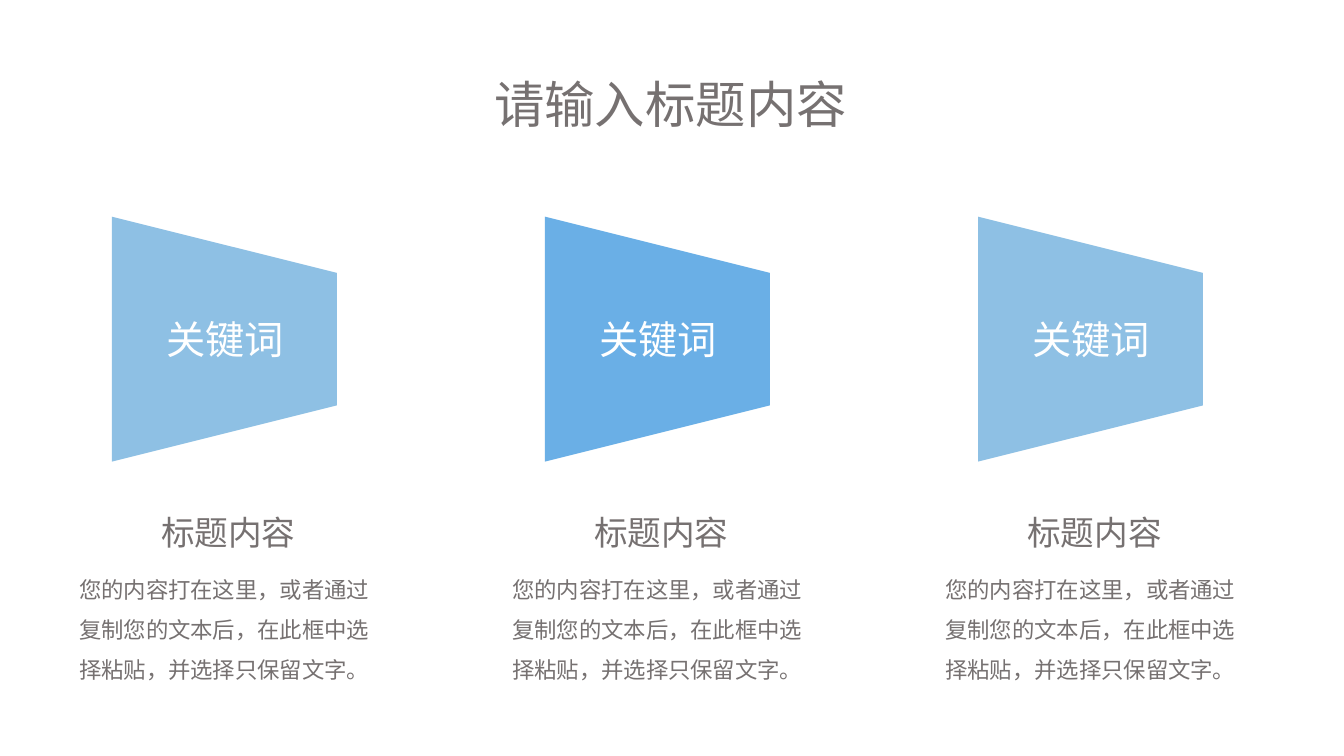
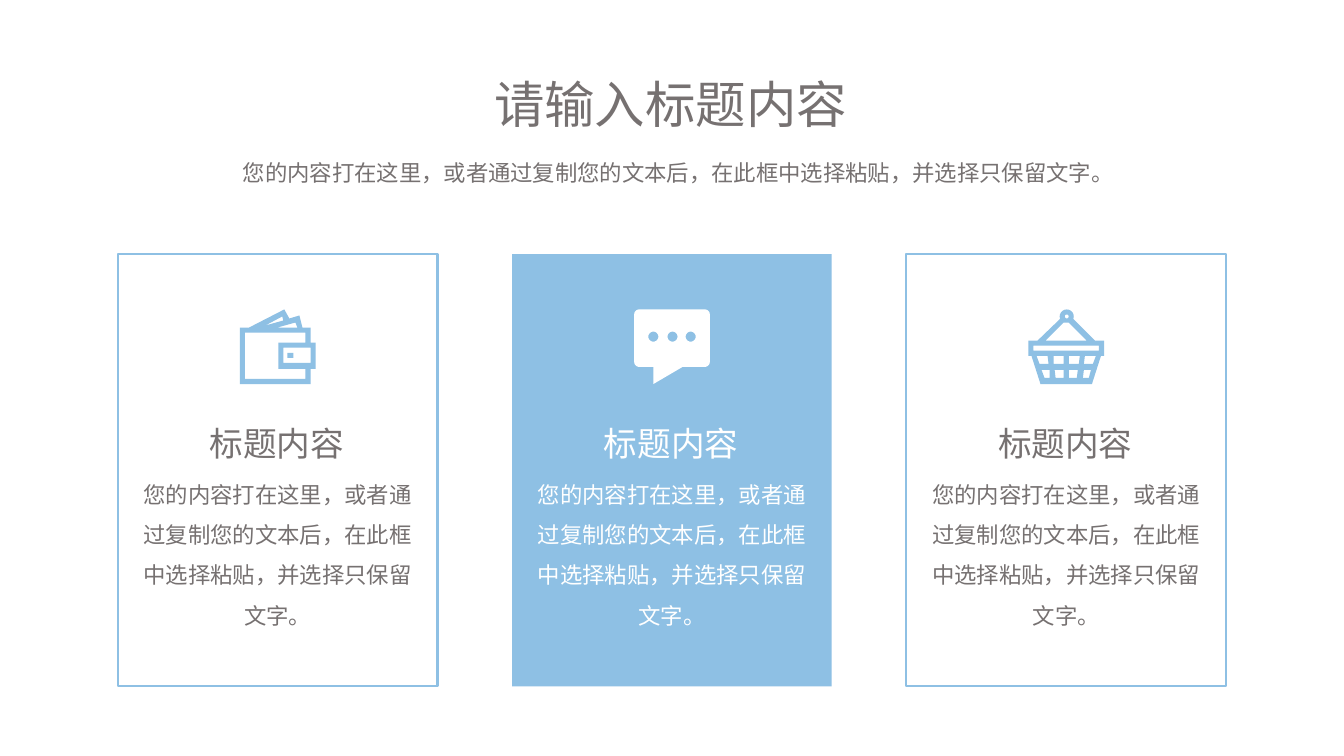
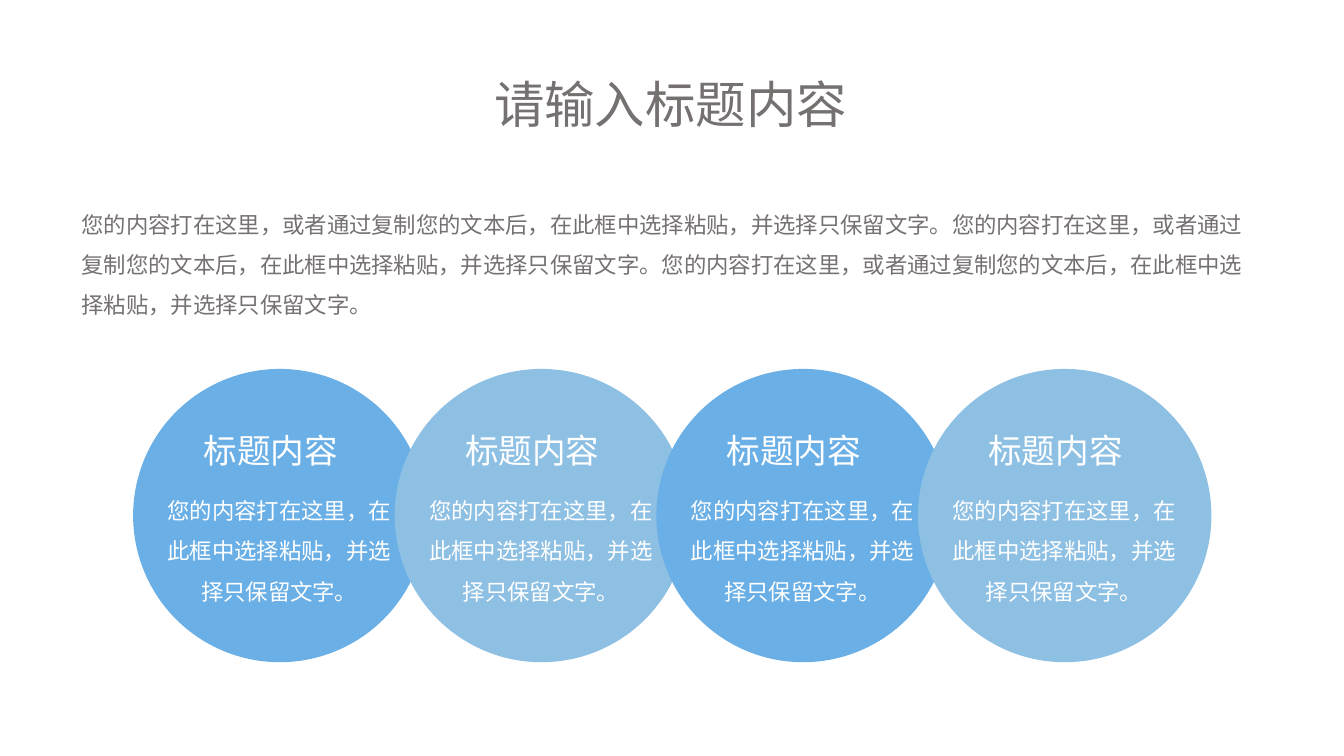
import math
from pptx import Presentation
from pptx import util as u
from pptx.dml.color import RGBColor
from pptx.enum import shapes, text
from pptx.oxml.ns import qn
from lxml import etree

FONT = "Noto Sans CJK SC"
GREY, WHITE, PALE, BLUE = "767171", "FFFFFF", "8EC0E4", "6AAFE6"
LEFT, CENTER, RIGHT = text.PP_ALIGN.LEFT, text.PP_ALIGN.CENTER, text.PP_ALIGN.RIGHT

TITLE = "请输入标题内容"
KEYWORD = "关键词"
HEADING = "标题内容"
BODY = "您的内容打在这里，或者通过复制您的文本后，在此框中选择粘贴，并选择只保留文字。"
SHORT_BODY = "您的内容打在这里，在此框中选择粘贴，并选择只保留文字。"

TITLE_STYLE = dict(size=36)
KEYWORD_STYLE = dict(size=28, color=WHITE, align=CENTER)
HEADING_STYLE = dict(size=24)
BODY_STYLE = dict(size=16, align=CENTER, spacing=1.5)
INTRO_STYLE = dict(size=16, spacing=1.5)


def arc(cx, cy, r, start, end, steps=12):
    angles = [math.radians(start + (end - start) * i / steps) for i in range(steps + 1)]
    return [(cx + r * math.cos(a), cy + r * math.sin(a)) for a in angles]


def box(x1, y1, x2, y2):
    return [(x1, y1), (x2, y1), (x2, y2), (x1, y2)]


def cell(y1, y2, top_left, top_right, bottom_right, bottom_left):
    return [(top_left, y1), (top_right, y1), (bottom_right, y2), (bottom_left, y2)]


WALLET = [
    [(0.44, 0), (0.49, 0.09), (0.59, 0.06), (0.62, 0.18), (0.7, 0.18), (0.7, 0.33),
     (0.75, 0.33), (0.75, 0.59), (0.7, 0.59), (0.7, 0.74), (0, 0.74), (0, 0.18), (0.09, 0.18)],
    [(0.05, 0.23), (0.65, 0.23), (0.65, 0.33), (0.38, 0.33), (0.38, 0.59), (0.65, 0.59),
     (0.65, 0.69), (0.05, 0.69)],
    box(0.43, 0.38, 0.7, 0.53),
    box(0.47, 0.43, 0.53, 0.48),
    [(0.55, 0.13), (0.37, 0.18), (0.57, 0.18)],
    [(0.42, 0.07), (0.25, 0.16), (0.43, 0.11)],
]
BUBBLE = [
    arc(0.05, 0.05, 0.05, 180, 270) + arc(0.7, 0.05, 0.05, 270, 360)
    + arc(0.7, 0.52, 0.05, 0, 90) + [(0.48, 0.57), (0.19, 0.74), (0.19, 0.57)]
    + arc(0.05, 0.52, 0.05, 90, 180),
] + [arc(x, 0.27, 0.05, 0, 360, 24) for x in (0.19, 0.38, 0.56)]
BASKET = [
    [(0.75, 0.46), (0.75, 0.31), (0.66, 0.31)] + arc(0.38, 0.07, 0.07, 20, -200)
    + [(0.09, 0.31), (0, 0.31), (0, 0.46), (0.03, 0.46), (0.12, 0.74), (0.63, 0.74), (0.72, 0.46)],
    arc(0.38, 0.07, 0.02, 0, 360),
    [(0.35, 0.13), (0.4, 0.13), (0.58, 0.31), (0.17, 0.31)],
    box(0.05, 0.36, 0.7, 0.41),
] + [cell(0.46, 0.54, *xs) for xs in (
    (0.08, 0.19, 0.2, 0.11), (0.25, 0.35, 0.35, 0.25),
    (0.4, 0.51, 0.5, 0.4), (0.56, 0.67, 0.64, 0.55))
] + [cell(0.6, 0.68, *xs) for xs in (
    (0.13, 0.21, 0.21, 0.16), (0.26, 0.35, 0.35, 0.27),
    (0.4, 0.49, 0.48, 0.4), (0.55, 0.62, 0.6, 0.54))
]

TRAPEZOIDS = [PALE, BLUE, PALE]
CARDS = [(WALLET, None, PALE, GREY), (BUBBLE, PALE, WHITE, WHITE), (BASKET, None, PALE, GREY)]
CIRCLES = [BLUE, PALE, BLUE, PALE]


def rgb(value):
    return RGBColor.from_string(value)


def inches(*values):
    return [u.Inches(v) for v in values]


def write(sp, words, size, color=GREY, align=LEFT, spacing=None):
    tf = sp.text_frame
    frame_format = dict(word_wrap=True, auto_size=text.MSO_AUTO_SIZE.NONE,
                        vertical_anchor=text.MSO_ANCHOR.TOP)
    for name, value in frame_format.items():
        setattr(tf, name, value)
    p = tf.paragraphs[0]
    p.alignment = align
    if spacing:
        p.line_spacing = spacing
    r = p.add_run()
    r.text = words
    for name, value in dict(size=u.Pt(size), name=FONT, bold=False).items():
        setattr(r.font, name, value)
    r.font.color.rgb = rgb(color)
    etree.SubElement(r.font._element, qn("a:ea")).set("typeface", FONT)


def add_text(s, at, words, **style):
    write(s.shapes.add_textbox(*inches(*at)), words, **style)


def paint(sp, fill=None, line=None):
    sp.shadow.inherit = False
    if fill:
        sp.fill.solid()
        sp.fill.fore_color.rgb = rgb(fill)
    else:
        sp.fill.background()
    if line:
        sp.line.color.rgb = rgb(line)
        sp.line.width = u.Pt(1.5)
    else:
        sp.line.fill.background()


def add_shape(s, kind, at, fill=None, line=None):
    sp = s.shapes.add_shape(kind, *inches(*at))
    paint(sp, fill, line)
    return sp


def add_icon(s, x, y, contours, color):
    outlines = [[inches(x + px, y + py) for px, py in contour] for contour in contours]
    builder = s.shapes.build_freeform(*outlines[0][0], scale=1.0)
    for i, points in enumerate(outlines):
        if i:
            builder.move_to(*points[0])
        builder.add_line_segments(points[1:], close=True)
    paint(builder.convert_to_shape(), color)


def add_slide(prs):
    s = prs.slides.add_slide(prs.slide_layouts[5])
    sp = s.shapes.title
    sp.left, sp.top, sp.width, sp.height = inches(4.8, 0.68, 3.74, 0.71)
    write(sp, TITLE, **TITLE_STYLE)
    return s


def trapezoid_slide(prs):
    s = add_slide(prs)
    for i, fill in enumerate(TRAPEZOIDS):
        x = 0.62 + 4.295 * i
        sp = add_shape(s, shapes.MSO_SHAPE.TRAPEZOID, (x + 0.39, 2.25, 2.43, 2.23), fill)
        sp.rotation = 90
        add_text(s, (x + 0.92, 3.08, 1.38, 0.57), KEYWORD, **KEYWORD_STYLE)
        add_text(s, (x + 0.8, 5.03, 1.61, 0.5), HEADING, align=RIGHT, **HEADING_STYLE)
        add_text(s, (x, 5.53, 3.21, 1.27), BODY, **BODY_STYLE)


def card_slide(prs):
    s = add_slide(prs)
    for i, (icon, fill, icon_color, color) in enumerate(CARDS):
        x = 1.17 + 3.91 * i
        add_shape(s, shapes.MSO_SHAPE.RECTANGLE, (x, 2.52, 3.17, 4.29), fill,
                  None if fill else PALE)
        add_text(s, (x + 0.81, 4.15, 1.55, 0.5), HEADING, color=color, **HEADING_STYLE)
        add_text(s, (x + 0.05, 4.59, 3.07, 1.67), BODY, color=color, **BODY_STYLE)
        add_icon(s, x + 1.21, 3.07, icon, icon_color)
    add_text(s, (2.31, 1.4, 8.71, 0.46), BODY, **INTRO_STYLE)


def circle_slide(prs):
    s = add_slide(prs)
    for i, fill in enumerate(CIRCLES):
        x = 1.32 + 2.595 * i
        add_shape(s, shapes.MSO_SHAPE.OVAL, (x, 3.66, 2.91, 2.91), fill)
        add_text(s, (x + 0.24, 4.75, 2.42, 1.27), SHORT_BODY, color=WHITE, **BODY_STYLE)
        add_text(s, (x + 0.6, 4.22, 1.7, 0.5), HEADING, color=WHITE, **HEADING_STYLE)
    add_text(s, (0.71, 1.91, 11.92, 1.27), BODY * 3, **INTRO_STYLE)


def main():
    prs = Presentation()
    prs.slide_width, prs.slide_height = inches(13.33, 7.5)
    for build in (trapezoid_slide, card_slide, circle_slide):
        build(prs)
    prs.save("out.pptx")


if __name__ == "__main__":
    main()
